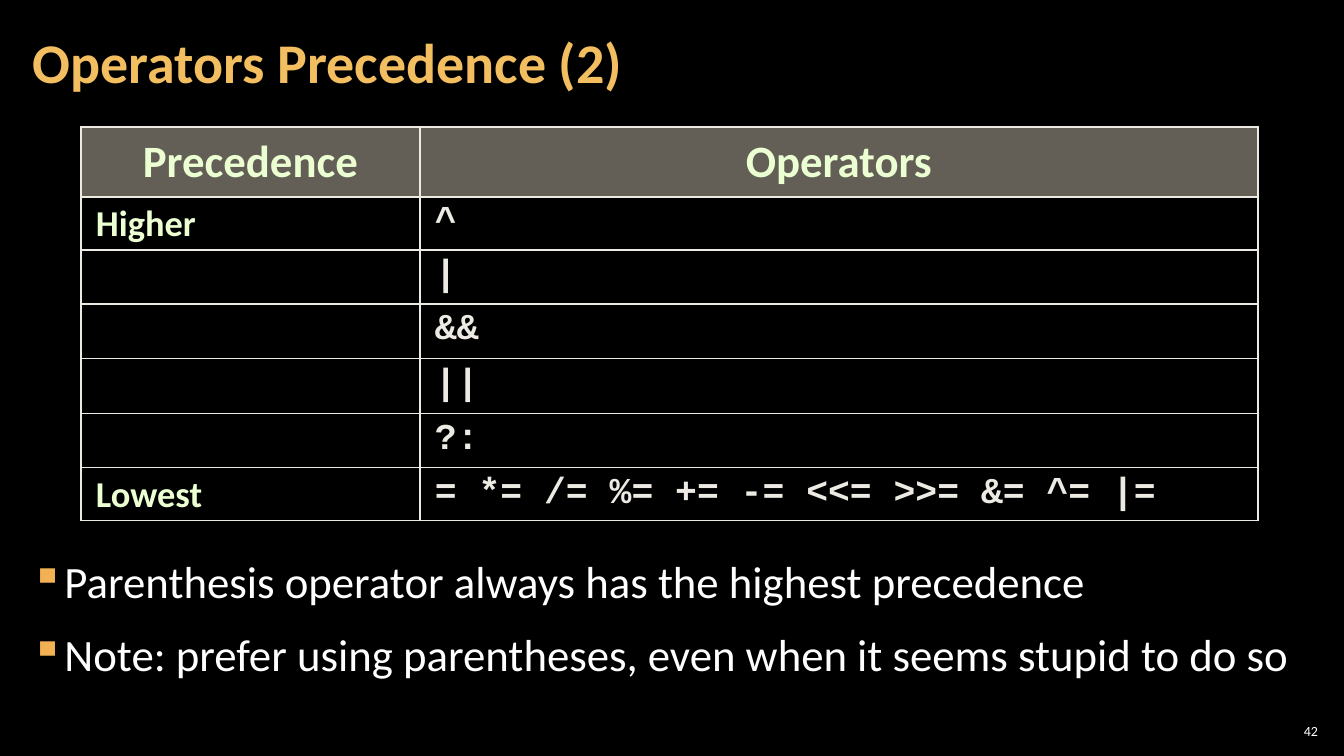
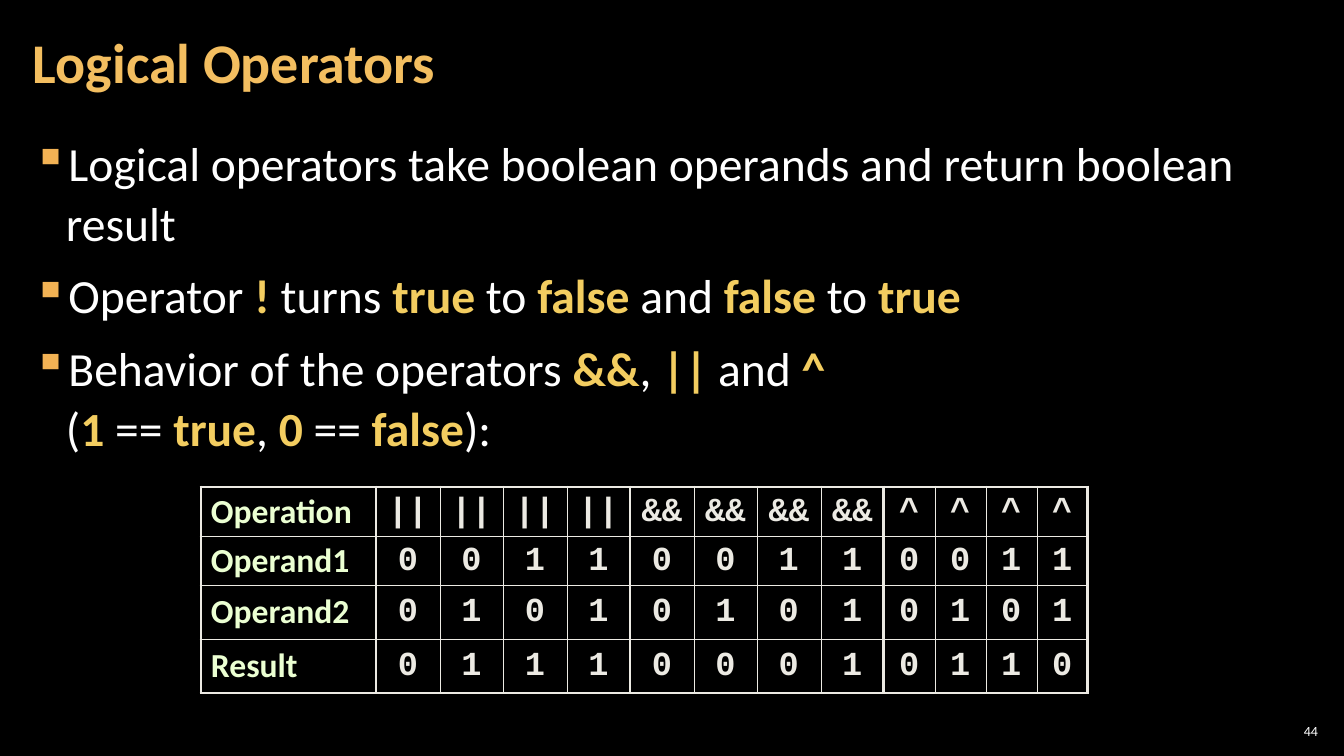
from lxml.etree import SubElement
from pptx import Presentation
from pptx.dml.color import RGBColor
from pptx.enum.text import MSO_ANCHOR, PP_ALIGN
from pptx.oxml.ns import qn
from pptx.util import Emu, Pt

PX = 9144000 / 1008
WHITE = RGBColor(0xFF, 0xFF, 0xFF)
BLACK = RGBColor(0x00, 0x00, 0x00)
TITLE = RGBColor(0xF3, 0xBE, 0x60)
ACCENT = RGBColor(0xF3, 0xCD, 0x60)
BULLET = RGBColor(0xF2, 0xB2, 0x54)
LABEL = RGBColor(0xEB, 0xFF, 0xD2)
CODE = RGBColor(0xEC, 0xEA, 0xE3)
HEADER = RGBColor(0xC7, 0xBF, 0xAC)
SANS, MONO = "Calibri", "Courier New"
THICK = 2.25
BODY_INSETS = (12, 4, 12, 4)

PRECEDENCE = {
    "rows": [
        ("Precedence", "Operators"),
        ("Higher", "^"),
        ("", "|"),
        ("", "&&"),
        ("", "||"),
        ("", "?:"),
        ("Lowest", "= *= /= %= += -= <<= >>= &= ^= |="),
    ],
    "at": (81, 127),
    "widths": [339, 838],
    "heights": [70, 53, 54, 55, 55, 54, 53],
    "header": True,
    "size": 26,
    "insets": [(15, 5, 15, 5)] * 2,
    "code_align": PP_ALIGN.LEFT,
    "code_anchor": MSO_ANCHOR.TOP,
    "thin": 1,
    "thick_rows": {0, 1},
    "thick_cols": {0, 2},
}

TRUTH = {
    "rows": [
        ["Operation"] + ["||"] * 4 + ["&&"] * 4 + ["^"] * 4,
        ["Operand1", *"001100110011"],
        ["Operand2", *"010101010101"],
        ["Result", *"011100010110"],
    ],
    "at": (201, 487),
    "widths": [175] + [64, 63] * 4 + [51] * 4,
    "heights": [49, 49, 54, 54],
    "header": False,
    "size": 24,
    "insets": [(10, 5, 10, 5)] + [(4, 4, 4, 4)] * 12,
    "code_align": PP_ALIGN.CENTER,
    "code_anchor": MSO_ANCHOR.MIDDLE,
    "thin": 0.25,
    "thick_rows": {0, 4},
    "thick_cols": {0, 1, 5, 9, 13},
}

SLIDES = [
    {
        "title": "Operators Precedence (2)",
        "number": "42",
        "box": (21, 546, 1301, 173),
        "insets": (10, 5, 10, 5),
        "size": 32,
        "before": 6,
        "bullets": [
            "Parenthesis operator always has the highest precedence",
            "Note: prefer using parentheses, even when it seems stupid to do so",
        ],
        "table": PRECEDENCE,
    },
    {
        "title": "Logical Operators",
        "number": "44",
        "box": (21, 127, 1301, 614),
        "insets": BODY_INSETS,
        "size": 34,
        "before": 3,
        "bullets": [
            "Logical operators take boolean operands and return boolean result",
            "Operator *! *turns *true* to *false* and *false *to *true*",
            "Behavior of the operators *&&*, *||* and *^*\n"
            "(*1* == *true*, *0* == *false*):",
        ],
        "table": TRUTH,
    },
]


def px(n):
    return Emu(round(n * PX))


def apply(obj, **values):
    for name, value in values.items():
        setattr(obj, name, value)


def set_insets(obj, insets):
    for side, n in zip(("left", "top", "right", "bottom"), insets):
        setattr(obj, f"margin_{side}", px(n))


def add_run(p, text, size, color, bold=False, font=SANS):
    r = p.add_run()
    r.text = text
    apply(r.font, name=font, size=Pt(size), bold=bold)
    r.font.color.rgb = color


def add_marked(p, text, size):
    for n, line in enumerate(text.split("\n")):
        if n:
            p.add_line_break()
        for i, part in enumerate(line.split("*")):
            if part:
                add_run(p, part, size, ACCENT if i % 2 else WHITE, bool(i % 2))


def add_textbox(s, box, insets, anchor=MSO_ANCHOR.TOP):
    tf = s.shapes.add_textbox(*map(px, box)).text_frame
    apply(tf, word_wrap=True, vertical_anchor=anchor)
    set_insets(tf, insets)
    return tf


def add_title(s, text):
    sp = s.shapes.title
    left, top, width, height = map(px, (21, 4, 1055, 122))
    apply(sp, left=left, top=top, width=width, height=height)
    tf = sp.text_frame
    apply(tf, word_wrap=True, vertical_anchor=MSO_ANCHOR.MIDDLE)
    set_insets(tf, BODY_INSETS)
    p = tf.paragraphs[0]
    apply(p, alignment=PP_ALIGN.LEFT, line_spacing=0.9)
    add_run(p, text, 40, TITLE, True)


def add_number(s, text):
    tf = add_textbox(s, (1275, 720, 47, 21), (4, 4, 4, 4), MSO_ANCHOR.MIDDLE)
    p = tf.paragraphs[0]
    p.alignment = PP_ALIGN.RIGHT
    add_run(p, text, 10, WHITE)


def add_bullets(s, data):
    tf = add_textbox(s, data["box"], data["insets"])
    for i, text in enumerate(data["bullets"]):
        p = tf.add_paragraph() if i else tf.paragraphs[0]
        apply(p, line_spacing=1.05, space_before=Pt(data["before"]), space_after=Pt(6))
        pPr = p._p.get_or_add_pPr()
        pPr.set("marL", str(px(33)))
        pPr.set("indent", str(-px(33)))
        color = SubElement(pPr, qn("a:buClr"))
        SubElement(color, qn("a:srgbClr"), val=str(BULLET))
        SubElement(pPr, qn("a:buChar"), char="▪")
        add_marked(p, text, data["size"])


def set_borders(cell, widths):
    tcPr = cell._tc.get_or_add_tcPr()
    for side, width in zip("LRTB", widths):
        ln = SubElement(tcPr, qn(f"a:ln{side}"), w=str(Pt(width)))
        fill = SubElement(ln, qn("a:solidFill"))
        SubElement(fill, qn("a:srgbClr"), val=str(CODE))


def set_fill(cell, header):
    if not header:
        cell.fill.background()
        return
    cell.fill.solid()
    cell.fill.fore_color.rgb = HEADER
    fill = cell._tc.tcPr.find(qn("a:solidFill"))
    SubElement(fill[0], qn("a:alpha"), val="50000")


def add_grid(s, data):
    rows, widths, heights = data["rows"], data["widths"], data["heights"]
    box = (*data["at"], sum(widths), sum(heights))
    table = s.shapes.add_table(len(rows), len(widths), *map(px, box)).table
    apply(table, first_row=data["header"], horz_banding=False)
    for column, width in zip(table.columns, widths):
        column.width = px(width)
    for row, height in zip(table.rows, heights):
        row.height = px(height)

    def line(n, thick):
        return THICK if n in thick else data["thin"]

    for i, texts in enumerate(rows):
        header = data["header"] and i == 0
        for j, text in enumerate(texts):
            cell = table.cell(i, j)
            label = header or j == 0
            cell.vertical_anchor = MSO_ANCHOR.MIDDLE if label else data["code_anchor"]
            set_insets(cell, data["insets"][j])
            set_borders(cell, [line(j, data["thick_cols"]), line(j + 1, data["thick_cols"]),
                               line(i, data["thick_rows"]), line(i + 1, data["thick_rows"])])
            set_fill(cell, header)
            if not text:
                continue
            p = cell.text_frame.paragraphs[0]
            align = PP_ALIGN.LEFT if label else data["code_align"]
            apply(p, alignment=PP_ALIGN.CENTER if header else align, line_spacing=0.95)
            add_run(p, text, 32 if header else data["size"],
                    LABEL if label else CODE, True, SANS if label else MONO)


def main():
    prs = Presentation()
    apply(prs, slide_width=px(1344), slide_height=px(756))
    background = prs.slide_master.background.fill
    background.solid()
    background.fore_color.rgb = BLACK
    for data in SLIDES:
        s = prs.slides.add_slide(prs.slide_layouts[5])
        add_title(s, data["title"])
        add_number(s, data["number"])
        add_bullets(s, data)
        add_grid(s, data["table"])
    prs.save("out.pptx")


if __name__ == "__main__":
    main()
